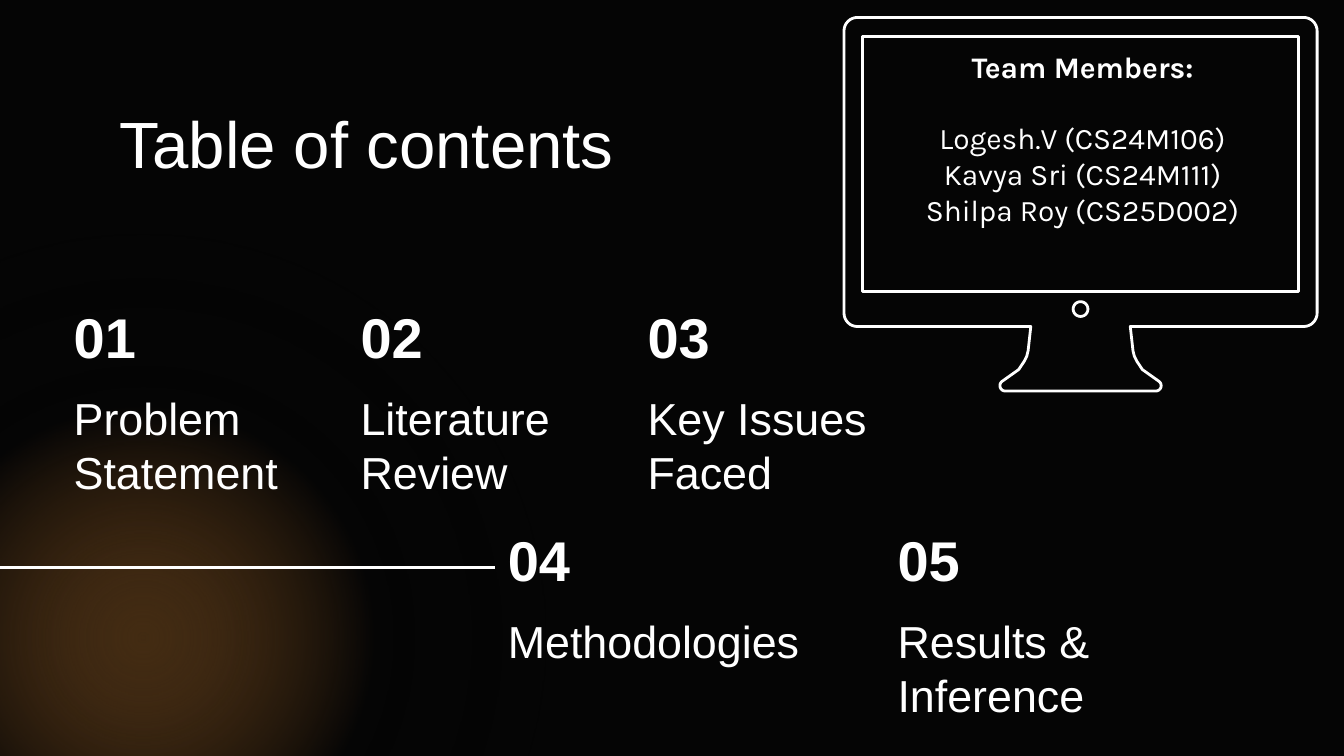
import math

from lxml import etree
from pptx import Presentation
from pptx.dml.color import RGBColor
from pptx.enum import shapes, text
from pptx.oxml import parse_xml
from pptx.oxml.ns import nsdecls, qn
from pptx.util import Inches, Pt

BLACK = RGBColor(0x05, 0x05, 0x05)
WHITE = RGBColor(0xFF, 0xFF, 0xFF)
ORANGE = RGBColor(0xE6, 0x91, 0x38)

# Position in percent, colour, opacity in percent
GLOW_STOPS = [(0, ORANGE, 27), (41, BLACK, 54), (78, BLACK, 0), (100, BLACK, 0)]
TOP_ROW = ["Problem Statement", "Literature Review", "Key Issues Faced"]
BOTTOM_ROW = ["Methodologies", "Results & Inference"]
TEAM = ["Team Members:", "Logesh.V (CS24M106)", "Kavya Sri (CS24M111)",
        "Shilpa Roy (CS25D002)"]


def place(shape, left, top, width, height):
    shape.left, shape.top = Inches(left), Inches(top)
    shape.width, shape.height = Inches(width), Inches(height)


def format_text(box, size, name="Arial", bold=False, spacing=1.0,
                align=text.PP_ALIGN.LEFT, anchor=text.MSO_ANCHOR.TOP):
    frame = box.text_frame
    frame.word_wrap = True
    frame.auto_size = text.MSO_AUTO_SIZE.NONE
    frame.vertical_anchor = anchor
    frame.margin_left = frame.margin_right = Inches(0.1)
    frame.margin_top = frame.margin_bottom = Inches(0.1)
    for para in frame.paragraphs:
        para.alignment = align
        para.line_spacing = spacing
        para.space_before = Pt(0)
        for span in para.runs:
            span.font.name = name
            span.font.size = Pt(size)
            span.font.bold = bold
            span.font.color.rgb = WHITE


def add_glow(page, left, top, size):
    """Add a soft round light that fades into the background."""
    glow = page.shapes.add_shape(shapes.MSO_SHAPE.OVAL, Inches(left), Inches(top),
                                 Inches(size), Inches(size))
    glow.shadow.inherit = False
    glow.line.fill.background()
    glow.fill.background()
    stops = "".join(
        f'<a:gs pos="{position * 1000}"><a:srgbClr val="{color}">'
        f'<a:alpha val="{opacity * 1000}"/></a:srgbClr></a:gs>'
        for position, color, opacity in GLOW_STOPS)
    gradient = parse_xml(
        f'<a:gradFill {nsdecls("a")}><a:gsLst>{stops}</a:gsLst><a:path path="circle">'
        '<a:fillToRect l="50000" t="50000" r="50000" b="50000"/></a:path></a:gradFill>')
    properties = glow._element.spPr
    properties.replace(properties.find(qn("a:noFill")), gradient)


def add_title(page, left, top, width, height):
    title = page.shapes.title
    place(title, left, top, width, height)
    title.text_frame.text = "Table of contents"
    format_text(title, 35, spacing=0.8)


def add_entry(page, left, top, number, heading):
    label = page.shapes.add_textbox(Inches(left), Inches(top), Inches(0.8), Inches(0.49))
    label.text_frame.text = f"{number:02d}"
    format_text(label, 30, bold=True, spacing=0.8, anchor=text.MSO_ANCHOR.MIDDLE)
    body = page.shapes.add_textbox(Inches(left), Inches(top + 0.51),
                                   Inches(2.63), Inches(0.53))
    body.text_frame.text = heading
    format_text(body, 24)


def add_row(page, left, top, last_left, first, headings):
    step = (last_left - left) / (len(headings) - 1)
    for index, heading in enumerate(headings):
        add_entry(page, left + index * step, top, first + index, heading)


def add_rule(page, left, top, width):
    rule = page.shapes.add_connector(shapes.MSO_CONNECTOR.STRAIGHT, Inches(left),
                                     Inches(top), Inches(left + width), Inches(top))
    rule.line.color.rgb = WHITE
    rule.line.width = Pt(1.5)
    etree.SubElement(rule._element.spPr, qn("a:effectLst"))


def arc(x, y, radius, start, end, steps):
    angles = [math.radians(start + (end - start) * i / steps) for i in range(steps + 1)]
    return [(x + radius * math.cos(a), y + radius * math.sin(a)) for a in angles]


def add_monitor(page, center, top):
    """Draw a screen, its button and its stand, symmetric about center."""
    neck = [(0.37, 2.3), (0.39, 2.48), (0.4, 2.52), (0.42, 2.56), (0.44, 2.59),
            (0.46, 2.62)]
    foot = arc(0.56, 2.74, 0.04, -50, 90, 8)
    right = (arc(1.66, 0.1, 0.1, -90, 0, 8) + arc(1.66, 2.2, 0.1, 0, 90, 8)
             + neck + foot)
    case = right + [(-x, y) for x, y in reversed(right)]
    button = arc(0, 2.17, 0.055, 0, 360, 24)
    screen = [(1.62, 2.04), (-1.62, 2.04), (-1.62, 0.14), (1.62, 0.14)]

    outlines = [[(Inches(center + x), Inches(top + y)) for x, y in outline]
                for outline in (case, button, screen)]
    builder = page.shapes.build_freeform(*outlines[0][0])
    for outline in outlines:
        builder.move_to(*outline[0])
        builder.add_line_segments(outline[1:], close=True)
    monitor = builder.convert_to_shape()
    monitor.shadow.inherit = False
    monitor.fill.background()
    monitor.line.color.rgb = WHITE
    monitor.line.width = Pt(1.5)


def add_team(page, left, top, width, height):
    team = page.placeholders[1]
    place(team, left, top, width, height)
    team.text_frame.text = "\n".join(TEAM)
    for para in team.text_frame.paragraphs:
        properties = para._p.get_or_add_pPr()
        properties.set("marL", "0")
        properties.set("indent", "0")
        etree.SubElement(properties, qn("a:buNone"))
    format_text(team, 16, name="Karla", align=text.PP_ALIGN.CENTER)
    heading, first_member = team.text_frame.paragraphs[:2]
    heading.runs[0].font.bold = True
    first_member.space_before = Pt(19)


def main():
    deck = Presentation()
    deck.slide_width = Inches(10)
    deck.slide_height = deck.slide_width * 9 // 16
    page = deck.slides.add_slide(deck.slide_layouts[1])
    page.background.fill.solid()
    page.background.fill.fore_color.rgb = BLACK

    add_glow(page, -1.93, 1.75, 5.99)
    add_title(page, 0.79, 0.78, 4.73, 0.63)
    add_row(page, 0.45, 2.3, 4.72, 1, TOP_ROW)
    add_row(page, 3.68, 3.96, 6.58, 4, BOTTOM_ROW)
    add_rule(page, 0, 4.22, 3.68)
    add_monitor(page, 8.04, 0.13)
    add_team(page, 6.44, 0.26, 3.23, 1.9)
    deck.save("out.pptx")


if __name__ == "__main__":
    main()
